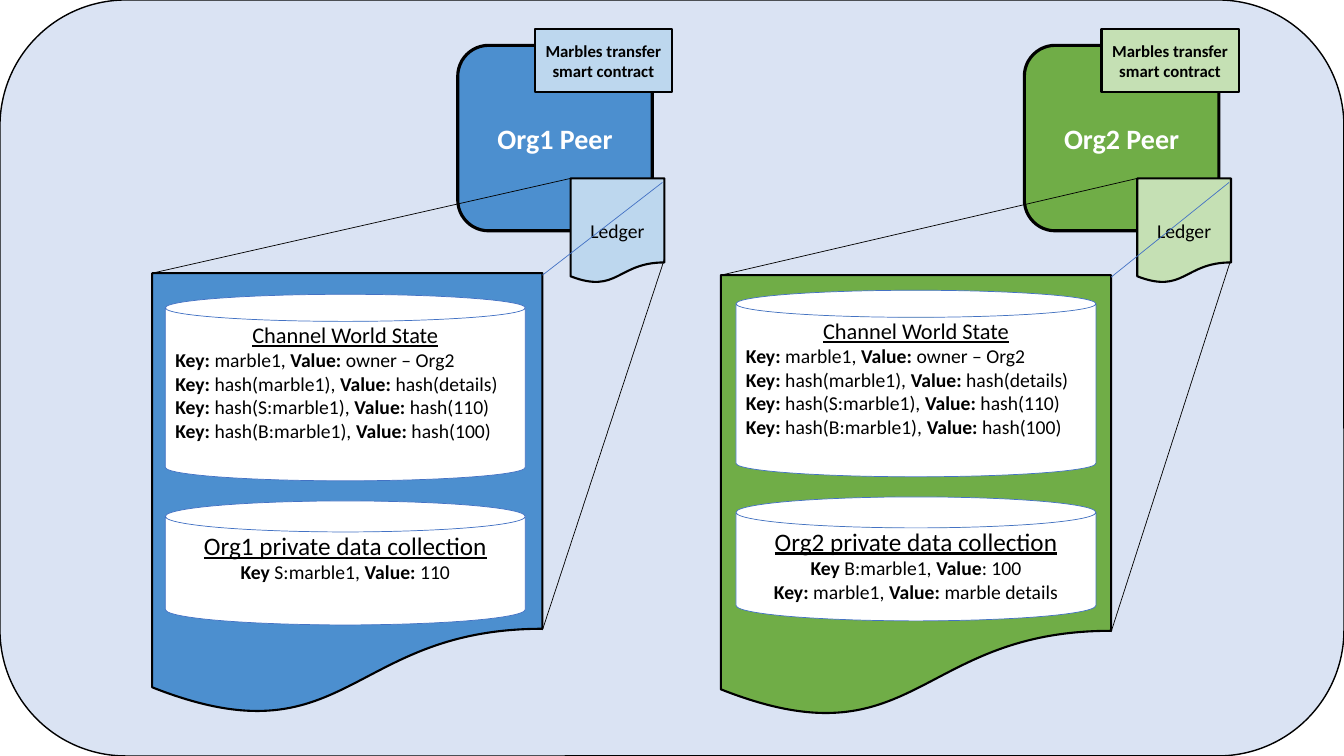
"""Build a slide of two organisations' peers with their ledgers opened up."""
from pptx import Presentation, util as u
from pptx.dml.color import RGBColor
from pptx.enum import shapes, text
from pptx.oxml.ns import qn

WIDTH, HEIGHT = 13.33, 7.5
BLACK, WHITE, BLUE = "000000", "FFFFFF", "4472C4"
KIND = shapes.MSO_SHAPE
CENTER, LEFT = text.PP_ALIGN.CENTER, text.PP_ALIGN.LEFT

# In each row, bold and regular spans alternate, starting with bold.
WORLD_STATE = [
    ("Key: ", "marble1, ", "Value: ", "owner – Org2"),
    ("Key: ", "hash(marble1), ", "Value: ", "hash(details)"),
    ("Key: ", "hash(S:marble1), ", "Value: ", "hash(110)"),
    ("Key: ", "hash(B:marble1), ", "Value: ", "hash(100)"),
]
ORGS = [
    dict(name="Org1", dark="4C8FCF", light="BDD7EE", peer_left=4.54,
         store=(1.51, 2.71), cans=(1.64, 2.92),
         private=[("Key", " S:marble1, ", "Value:", " 110")]),
    dict(name="Org2", dark="70AD47", light="C5E0B4", peer_left=10.16,
         store=(7.15, 2.73), cans=(7.3, 2.88),
         private=[("Key", " B:marble1, ", "Value", ": 100"),
                  ("Key: ", "marble1, ", "Value: ", "marble details")]),
]
PEER_TOP, PEER_SIZE = 0.45, (1.93, 1.84)
TAG_SHIFT, TAG_TOP, TAG_SIZE = 0.765, 0.29, (1.36, 0.62)
LEDGER_SHIFT, LEDGER_TOP, LEDGER_SIZE = 1.12, 1.77, (0.93, 1.04)
STORE_SIZE, STORE_EDGE = (3.87, 4.4), 3.54
STATE_SIZE, PRIVATE_SIZE, CAN_STEP = (3.57, 1.85), (3.57, 1.23), 2.05


def color(value):
    return RGBColor.from_string(value)


def add_box(kind, place, size, fill, line, weight):
    box = page.shapes.add_shape(kind, *map(u.Inches, place + size))
    box.shadow.inherit = False
    box.fill.solid()
    box.fill.fore_color.rgb = color(fill)
    box.line.color.rgb = color(line)
    box.line.width = u.Pt(weight)
    return box


def style(para, size, ink=BLACK, align=CENTER):
    para.alignment = align
    para.font.name = "Calibri"
    para.font.size = u.Pt(size)
    para.font.color.rgb = color(ink)


def add_label(box, words, size, ink=BLACK, bold=False, top=0.05, side=0.05):
    frame = box.text_frame
    frame.word_wrap = True
    frame.vertical_anchor = text.MSO_ANCHOR.MIDDLE
    frame.margin_left = frame.margin_right = u.Inches(side)
    frame.margin_top, frame.margin_bottom = u.Inches(top), u.Inches(0.05)
    para = frame.paragraphs[0]
    para.text = words
    style(para, size, ink)
    para.font.bold = bold


def add_can(place, size, bulge, title, title_size, rows, align, top):
    can = add_box(KIND.CAN, place, size, WHITE, BLUE, 0.5)
    can.adjustments[0] = bulge
    add_label(can, title, title_size, top=top, side=0.1)
    frame = can.text_frame
    frame.vertical_anchor = text.MSO_ANCHOR.TOP
    frame.paragraphs[0].font.underline = True
    for row in rows:
        para = frame.add_paragraph()
        style(para, 14, align=align)
        for index, words in enumerate(row):
            span = para.add_run()
            span.text = words
            span.font.bold = index % 2 == 0


def add_line(start, end, ink):
    line = page.shapes.add_connector(
        shapes.MSO_CONNECTOR.STRAIGHT, *map(u.Inches, start + end))
    line.line.color.rgb = color(ink)
    line.line.width = u.Pt(0.5)
    properties = line._element.spPr
    properties.append(properties.makeelement(qn("a:effectLst"), {}))


def add_org(name, dark, light, peer_left, store, cans, private):
    add_box(KIND.FLOWCHART_DOCUMENT, store, STORE_SIZE, dark, BLACK, 1.5)

    peer = add_box(KIND.ROUNDED_RECTANGLE, (peer_left, PEER_TOP), PEER_SIZE,
                   dark, BLACK, 2.25)
    add_label(peer, f"{name} Peer", 20, WHITE, bold=True)
    tag = add_box(KIND.RECTANGLE, (peer_left + TAG_SHIFT, TAG_TOP), TAG_SIZE,
                  light, BLACK, 1.5)
    add_label(tag, "Marbles transfer smart contract", 12, bold=True, side=0.1)
    ledger_left = peer_left + LEDGER_SHIFT
    ledger = add_box(KIND.FLOWCHART_DOCUMENT, (ledger_left, LEDGER_TOP),
                     LEDGER_SIZE, light, BLACK, 1.5)
    add_label(ledger, "Ledger", 14, top=0.25)

    left, top = cans
    add_can(cans, STATE_SIZE, 0.145, "Channel World State", 16,
            WORLD_STATE, LEFT, 0)
    add_can((left, top + CAN_STEP), PRIVATE_SIZE, 0.25,
            f"{name} private data collection", 18, private, CENTER, -0.02)

    store_left, store_top = store
    store_right = store_left + STORE_SIZE[0]
    ledger_right = ledger_left + LEDGER_SIZE[0]
    add_line((ledger_right - 0.02, LEDGER_TOP + 0.04),
             (store_right, store_top + 0.02), BLUE)
    add_line((ledger_right, LEDGER_TOP + 0.8),
             (store_right, store_top + STORE_EDGE), BLACK)
    add_line((ledger_left, LEDGER_TOP), (store_left, store_top), BLACK)


deck = Presentation()
deck.slide_width, deck.slide_height = u.Inches(WIDTH), u.Inches(HEIGHT)
page = deck.slides.add_slide(deck.slide_layouts[6])
add_box(KIND.ROUNDED_RECTANGLE, (0, 0), (WIDTH, HEIGHT), "DAE3F3", BLACK, 1)
for org in ORGS:
    add_org(**org)
deck.save("out.pptx")
